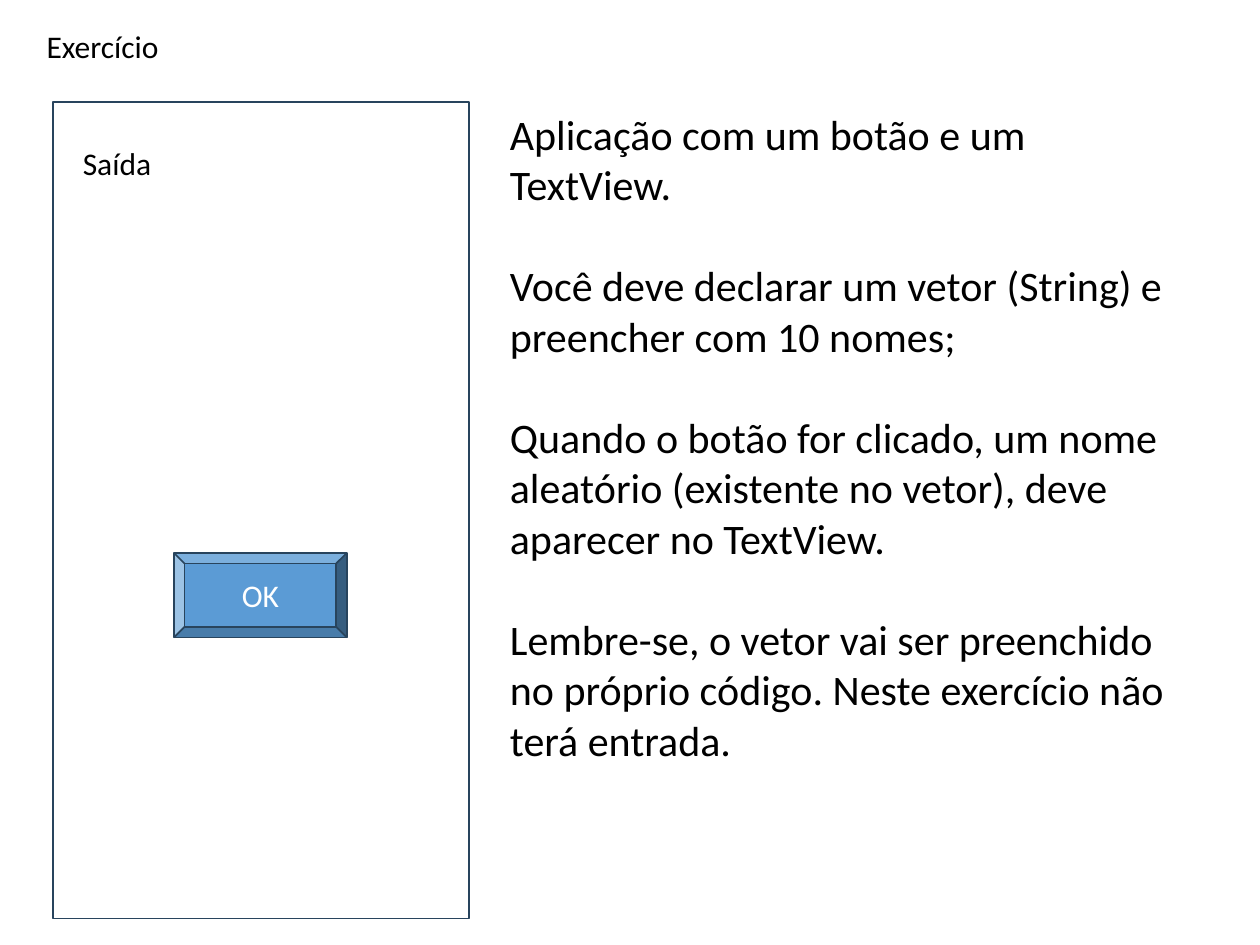
from pptx import Presentation
from pptx.dml.color import RGBColor
from pptx.enum.shapes import MSO_SHAPE
from pptx.enum.text import MSO_ANCHOR, MSO_AUTO_SIZE, PP_ALIGN
from pptx.util import Cm, Pt

BLACK = RGBColor(0x00, 0x00, 0x00)
WHITE = RGBColor(0xFF, 0xFF, 0xFF)
BLUE = RGBColor(0x5B, 0x9B, 0xD5)
NAVY = RGBColor(0x28, 0x44, 0x5D)
RECT, BEVEL = MSO_SHAPE.RECTANGLE, MSO_SHAPE.BEVEL
LEFT, CENTER = PP_ALIGN.LEFT, PP_ALIGN.CENTER
MIDDLE = MSO_ANCHOR.MIDDLE
GROW = MSO_AUTO_SIZE.SHAPE_TO_FIT_TEXT

TASKS = [
    "Aplicação com um botão e um TextView.",
    "Você deve declarar um vetor (String) e preencher com 10 nomes;",
    "Quando o botão for clicado, um nome aleatório (existente no vetor), "
    "deve aparecer no TextView.",
    "Lembre-se, o vetor vai ser preenchido no próprio código. "
    "Neste exercício não terá entrada.",
]


def write(frame, lines, size=18, color=BLACK, align=LEFT, gap=0, wrap=True):
    frame.word_wrap = wrap
    for i, line in enumerate(lines):
        para = frame.paragraphs[0] if i == 0 else frame.add_paragraph()
        para.alignment = align
        para.space_before = Pt(gap if i else 0)
        run = para.add_run()
        run.text = line
        run.font.name = "Calibri"
        run.font.size = Pt(size)
        run.font.color.rgb = color


def add_text(slide, box, lines, **style):
    frame = slide.shapes.add_textbox(*map(Cm, box)).text_frame
    write(frame, lines, **style)
    frame.auto_size = GROW


def add_box(slide, kind, box, fill):
    shape = slide.shapes.add_shape(kind, *map(Cm, box))
    shape.shadow.inherit = False
    shape.fill.solid()
    shape.fill.fore_color.rgb = fill
    shape.line.color.rgb = NAVY
    shape.line.width = Pt(1)
    return shape


def add_phone(slide, box):
    left, top, width, height = box
    add_box(slide, RECT, box, WHITE)
    button = add_box(slide, BEVEL, (left + 2.44, top + 9.09, 3.48, 1.7), BLUE)
    button.text_frame.vertical_anchor = MIDDLE
    write(button.text_frame, ["OK"], color=WHITE, align=CENTER)
    add_text(slide, (left + 0.35, top + 0.71, width - 0.76, 1.02), ["Saída"])


def main():
    deck = Presentation()
    deck.slide_width, deck.slide_height = Cm(25.4), Cm(19.05)
    slide = deck.slides.add_slide(deck.slide_layouts[6])
    add_text(slide, (0.69, 0.43, 3.02, 1.02), ["Exercício"], wrap=False)
    add_phone(slide, (1.07, 2.06, 8.38, 16.46))
    add_text(slide, (10.03, 2.06, 14.33, 13.59), TASKS, size=24, gap=29)
    deck.save("out.pptx")


if __name__ == "__main__":
    main()
